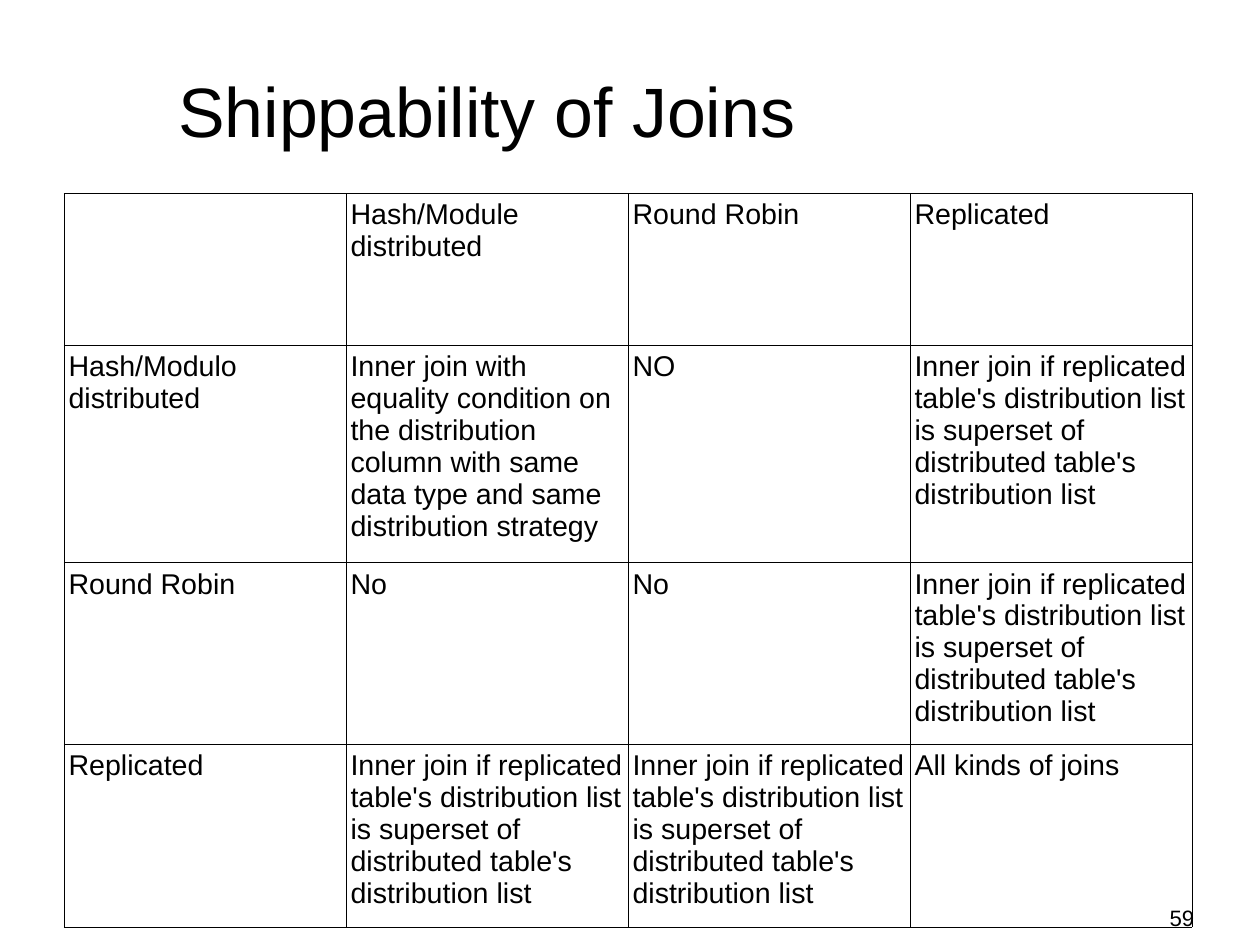
from lxml import etree
from pptx import Presentation
from pptx.dml.color import RGBColor
from pptx.enum.text import MSO_ANCHOR, MSO_AUTO_SIZE, PP_ALIGN
from pptx.oxml.ns import qn
from pptx.util import Cm, Inches, Pt

BLACK = RGBColor(0x00, 0x00, 0x00)
LEFT, RIGHT = PP_ALIGN.LEFT, PP_ALIGN.RIGHT
TOP, MIDDLE = MSO_ANCHOR.TOP, MSO_ANCHOR.MIDDLE
NO_AUTOFIT = MSO_AUTO_SIZE.NONE
FONT = "Arial"
TITLE_ONLY = 5
BORDER_PT = 0.06

SUPERSET = ("Inner join if replicated table's distribution list is superset of "
            "distributed table's distribution list")
EQUALITY = ("Inner join with equality condition on the distribution column with "
            "same data type and same distribution strategy")
JOINS = [
    ["", "Hash/Module distributed", "Round Robin", "Replicated"],
    ["Hash/Modulo distributed", EQUALITY, "NO", SUPERSET],
    ["Round Robin", "No", "No", SUPERSET],
    ["Replicated", SUPERSET, SUPERSET, "All kinds of joins"],
]
ROW_HEIGHTS = [1.33, 1.9, 1.59, 1.6]


def write(tf, text, size=18, align=LEFT):
    """Put one formatted paragraph into a text frame."""
    p = tf.paragraphs[0]
    p.alignment = align
    p.font.size = Pt(size)
    if text:
        r = p.add_run()
        r.text = text
        r.font.size = Pt(size)
        r.font.name = FONT
        r.font.color.rgb = BLACK


def set_frame(tf, anchor):
    """Give a text frame no margins, wrapping and a fixed size."""
    tf.margin_left = tf.margin_right = tf.margin_top = tf.margin_bottom = 0
    tf.word_wrap = True
    tf.auto_size = NO_AUTOFIT
    tf.vertical_anchor = anchor


def add_title(slide, box, text):
    """Move and fill the title placeholder."""
    sp = slide.shapes.title
    sp.left, sp.top, sp.width, sp.height = map(Inches, box)
    set_frame(sp.text_frame, MIDDLE)
    write(sp.text_frame, text, size=44)


def add_borders(cell):
    """Draw a thin black line on every side of a cell."""
    tc_pr = cell._tc.get_or_add_tcPr()
    for side in ("lnL", "lnR", "lnT", "lnB"):
        ln = etree.SubElement(tc_pr, qn(f"a:{side}"), w=str(Pt(BORDER_PT)))
        fill = etree.SubElement(ln, qn("a:solidFill"))
        etree.SubElement(fill, qn("a:srgbClr"), val=str(BLACK))


def add_join_table(slide, box, rows, heights):
    """Place the table of joins with equal columns and given row heights."""
    table = slide.shapes.add_table(len(rows), len(rows[0]), *map(Inches, box)).table
    table.first_row = table.horz_banding = False
    for row, height in zip(table.rows, heights):
        row.height = Inches(height)
    for i, texts in enumerate(rows):
        for j, text in enumerate(texts):
            cell = table.cell(i, j)
            cell.margin_left = cell.margin_right = Inches(0.04)
            cell.margin_top = cell.margin_bottom = Inches(0.05)
            cell.vertical_anchor = TOP
            add_borders(cell)
            cell.fill.background()
            write(cell.text_frame, text)


def add_page_number(slide, box, text):
    """Place the right-aligned page number."""
    tf = slide.shapes.add_textbox(*map(Inches, box)).text_frame
    set_frame(tf, TOP)
    write(tf, text, size=14, align=RIGHT)


def main():
    """Build the slide and save it."""
    prs = Presentation()
    prs.slide_width, prs.slide_height = Cm(28), Cm(21)
    slide = prs.slides.add_slide(prs.slide_layouts[TITLE_ONLY])
    add_title(slide, (1.56, 0.27, 9.09, 1.38), "Shippability of Joins")
    add_join_table(slide, (0.56, 1.69, 9.87, sum(ROW_HEIGHTS)), JOINS, ROW_HEIGHTS)
    add_page_number(slide, (7.88, 7.91, 2.57, 0.22), "59")
    prs.save("out.pptx")


if __name__ == "__main__":
    main()
